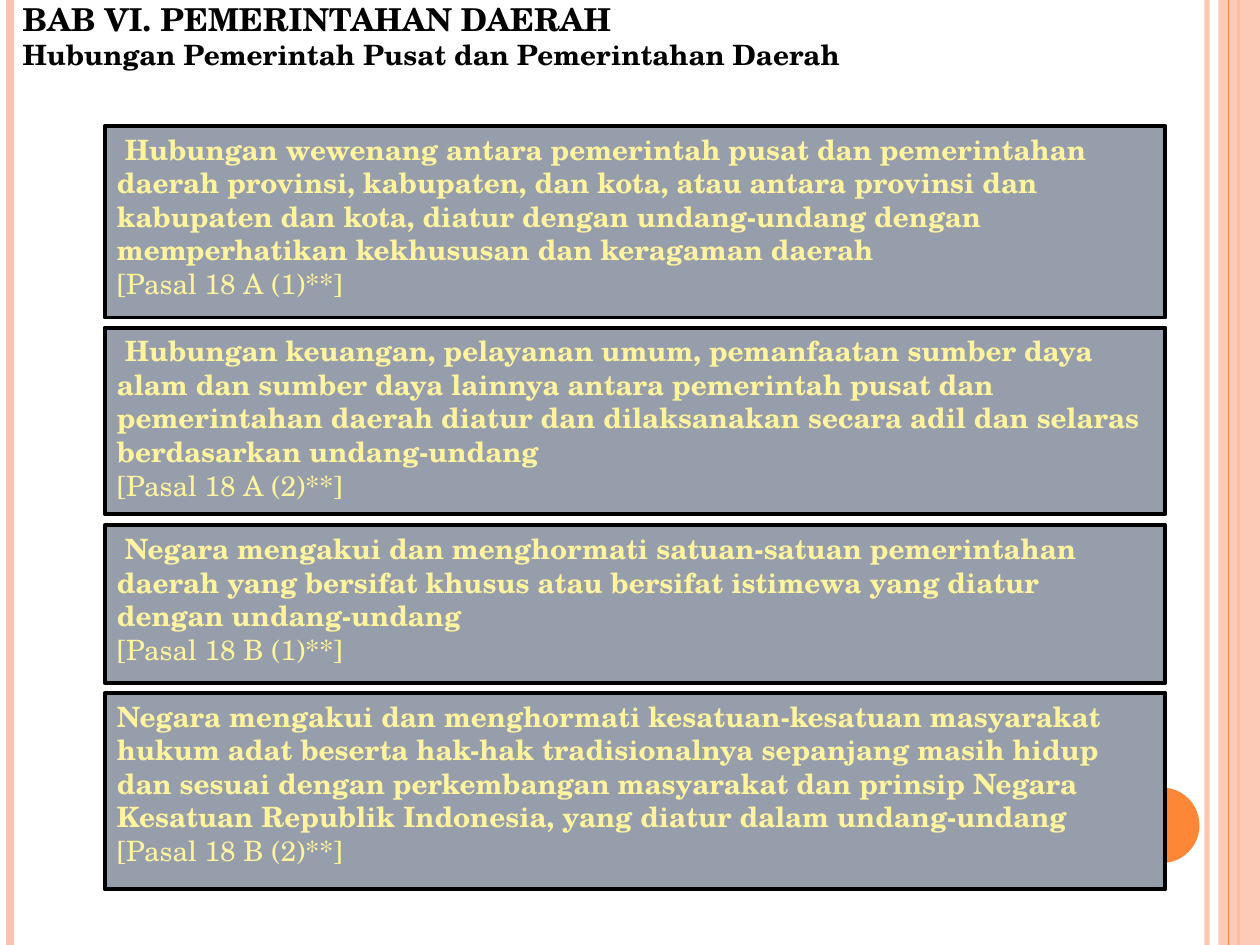
from lxml.etree import SubElement
from pptx import Presentation
from pptx.dml.color import RGBColor
from pptx.enum.shapes import MSO_CONNECTOR as CONN, MSO_SHAPE as SHAPE
from pptx.enum.text import MSO_ANCHOR as ANCHOR, MSO_AUTO_SIZE as FIT, PP_ALIGN as ALIGN
from pptx.oxml.ns import qn
from pptx.util import Inches, Pt

COLORS = {"peach": "FEC3AE", "orange": "FE8637", "panel": "969EAB",
          "cream": "FFF39D", "black": "000000"}
FONT = "TeX Gyre Schola"

TITLE = [("BAB VI. PEMERINTAHAN DAERAH", 18, True),
         ("Hubungan Pemerintah Pusat dan Pemerintahan Daerah", 16, True)]

# top, height, text, article
ARTICLES = [
    (1, 1.52, " Hubungan wewenang antara pemerintah pusat dan pemerintahan daerah provinsi, "
     "kabupaten, dan kota, atau antara provinsi dan kabupaten dan kota, diatur dengan "
     "undang-undang dengan memperhatikan kekhususan dan keragaman daerah",
     "[Pasal 18 A (1)**]"),
    (2.6, 1.48, " Hubungan keuangan, pelayanan umum, pemanfaatan sumber daya alam dan sumber "
     "daya lainnya antara pemerintah pusat dan pemerintahan daerah diatur dan dilaksanakan "
     "secara adil dan selaras berdasarkan undang-undang",
     "[Pasal 18 A (2)**]"),
    (4.17, 1.25, " Negara mengakui dan menghormati satuan-satuan pemerintahan daerah yang "
     "bersifat khusus atau bersifat istimewa yang diatur dengan undang-undang",
     "[Pasal 18 B (1)**]"),
    (5.5, 1.56, "Negara mengakui dan menghormati kesatuan-kesatuan masyarakat hukum adat "
     "beserta hak-hak tradisionalnya sepanjang masih hidup dan sesuai dengan perkembangan "
     "masyarakat dan prinsip Negara Kesatuan Republik Indonesia, yang diatur dalam "
     "undang-undang",
     "[Pasal 18 B (2)**]"),
]


def rgb(name):
    return RGBColor.from_string(COLORS[name])


def set_alpha(shape, percent):
    color = next(shape._element.spPr.iter(qn("a:srgbClr")))
    SubElement(color, qn("a:alpha"), val=str(percent * 1000))


def add_rule(s, x, top, height, color, width):
    line = s.shapes.add_connector(CONN.STRAIGHT, Inches(x), Inches(top),
                                  Inches(x), Inches(top + height))
    line.line.color.rgb = rgb(color)
    line.line.width = Pt(width)
    SubElement(line._element.spPr, qn("a:effectLst"))
    return line


def add_block(s, kind, box, color):
    sp = s.shapes.add_shape(kind, *map(Inches, box))
    sp.shadow.inherit = False
    sp.fill.solid()
    sp.fill.fore_color.rgb = rgb(color)
    sp.line.fill.background()
    return sp


def write(tf, lines, color):
    frame = {"word_wrap": True, "auto_size": FIT.NONE, "vertical_anchor": ANCHOR.TOP}
    for name, value in frame.items():
        setattr(tf, name, value)
    for i, (text, size, bold) in enumerate(lines):
        p = tf.add_paragraph() if i else tf.paragraphs[0]
        p.alignment = ALIGN.LEFT
        p.space_before = Pt(0)
        r = p.add_run()
        r.text = text
        for name, value in {"name": FONT, "size": Pt(size), "bold": bold}.items():
            setattr(r.font, name, value)
        r.font.color.rgb = rgb(color)


def add_decoration(s, box):
    left, top, width, height = box
    right = left + width
    set_alpha(add_rule(s, right - 0.42, top, height, "peach", 3), 93)
    add_rule(s, left + 0.08, top, height, "peach", 4.5)
    add_rule(s, right - 0.17, top, height, "orange", 1.5)
    set_alpha(add_block(s, SHAPE.RECTANGLE, (right - 0.33, top, 0.33, height), "peach"), 87)
    add_rule(s, right - 0.25, top, height, "orange", 0.75)
    add_block(s, SHAPE.OVAL, (right - 1.08, top + 6.25, 0.6, 0.6), "orange")


def add_title(s, box):
    title = s.shapes.title
    title.left, title.top, title.width, title.height = map(Inches, box)
    write(title.text_frame, TITLE, "black")


def add_article(s, box, text, article):
    sp = add_block(s, SHAPE.RECTANGLE, box, "panel")
    sp.line.color.rgb = rgb("black")
    sp.line.width = Pt(2.25)
    write(sp.text_frame, [(text, 16, True), (article, 16, False)], "cream")


def main():
    prs = Presentation()
    prs.slide_width, prs.slide_height = Inches(10), Inches(7.5)
    s = prs.slides.add_slide(prs.slide_layouts[5])

    # Side bands and disc
    add_decoration(s, (0, 0, 10, 7.5))
    # Heading
    add_title(s, (0.08, -0.05, 7.76, 0.67))
    # Article panels
    for top, height, text, article in ARTICLES:
        add_article(s, (0.83, top, 8.42, height), text, article)

    prs.save("out.pptx")


if __name__ == "__main__":
    main()
